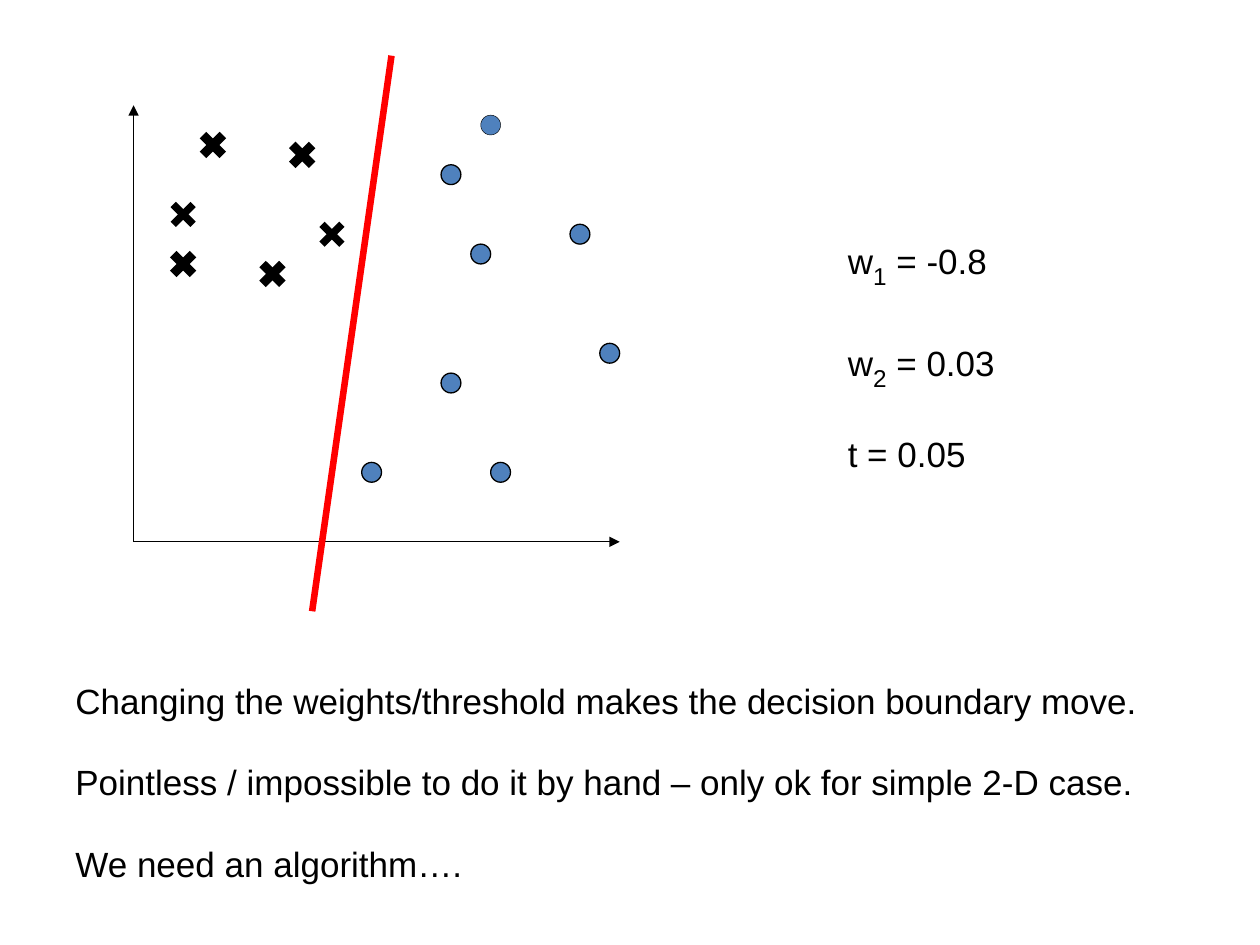
from dataclasses import dataclass
from typing import Any

from lxml import etree
from pptx import Presentation, util as u
from pptx.dml.color import RGBColor
from pptx.enum import shapes, text
from pptx.oxml import ns

COLOURS = {"ink": "000000", "dot": "4F81BD", "boundary": "FF0000"}
CELL = u.Mm(2)
ORIGIN = (u.Inches(1.06), u.Inches(4.3))
DOTS = [(35, 29), (45, 31), (32, 16), (37, 7), (48, 19), (24, 7), (32, 37)]
TOP_DOT = (36, 42)
BOLD_CROSSES = [(8, 40), (17, 39), (5, 28), (14, 27)]
LIGHT_CROSSES = [(5, 33), (20, 31)]


def add_text(paragraph, words, size=20, colour="ink", font="Arial", baseline=None):
    run = paragraph.add_run()
    run.text = words
    run.font.size = u.Pt(size)
    run.font.name = font
    run.font.color.rgb = RGBColor.from_string(COLOURS[colour])
    if baseline is not None:
        run.font._element.set("baseline", str(baseline * 1000))


@dataclass
class Plot:
    """Draw on a slide with a grid whose columns and rows count from the axes' origin."""
    slide: Any

    def point(self, column, row):
        return ORIGIN[0] + column * CELL, ORIGIN[1] - row * CELL

    def line(self, start, end, width=0.75, colour="ink", arrow=False):
        connector = self.slide.shapes.add_connector(
            shapes.MSO_CONNECTOR.STRAIGHT, *self.point(*start), *self.point(*end))
        connector.line.color.rgb = RGBColor.from_string(COLOURS[colour])
        connector.line.width = u.Pt(width)
        if arrow:
            etree.SubElement(connector.line._get_or_add_ln(), ns.qn("a:tailEnd"), type="triangle")
        etree.SubElement(connector._element.spPr, ns.qn("a:effectLst"))

    def cross(self, column, row, width):
        for rise in (1, -1):
            self.line((column + 1, row + rise), (column - 1, row - rise), width)

    def dot(self, column, row, width=0.75):
        left, top = self.point(column - 1, row + 1)
        shape = self.slide.shapes.add_shape(
            shapes.MSO_SHAPE.OVAL, left, top, 2 * CELL, 2 * CELL)
        shape.shadow.inherit = False
        shape.fill.solid()
        shape.fill.fore_color.rgb = RGBColor.from_string(COLOURS["dot"])
        shape.line.color.rgb = RGBColor.from_string(COLOURS["ink"])
        shape.line.width = u.Pt(width)

    def text_box(self, left, top, width, height, paragraphs, wrap=True):
        box = self.slide.shapes.add_textbox(*map(u.Inches, (left, top, width, height)))
        frame = box.text_frame
        frame.word_wrap = wrap
        frame.vertical_anchor = text.MSO_ANCHOR.MIDDLE
        for index, (gap, runs) in enumerate(paragraphs):
            paragraph = frame.add_paragraph() if index else frame.paragraphs[0]
            if index:
                paragraph.space_before = u.Pt(gap)
            for words, style in runs:
                add_text(paragraph, words, **style)


def weight(index, value):
    return [("w", {}), (index, {"size": 24, "baseline": -25}), (f" = {value}", {})]


def main():
    presentation = Presentation()
    presentation.slide_width, presentation.slide_height = u.Inches(10), u.Inches(7.5)
    plot = Plot(presentation.slides.add_slide(presentation.slide_layouts[6]))

    for axis_end in ((0, 44), (49, 0)):
        plot.line((0, 0), axis_end, arrow=True)
    for centre in BOLD_CROSSES:
        plot.cross(*centre, width=5.25)
    for centre in DOTS:
        plot.dot(*centre)
    plot.dot(*TOP_DOT, width=0.25)
    for centre in LIGHT_CROSSES:
        plot.cross(*centre, width=4.25)
    plot.line((18, -7), (26, 49), width=3.75, colour="boundary")

    remarks = ["Changing the weights/threshold makes the decision boundary move.",
               "Pointless / impossible to do it by hand – only ok for simple 2-D case.",
               "We need an algorithm…."]
    plot.text_box(0.5, 5.32, 8.63, 1.77, [(22.4, [(remark, {})]) for remark in remarks], wrap=False)
    plot.text_box(6.63, 1.8, 1.75, 2.01, [
        (0, weight("1", "-0.8")), (25.5, weight("2", "0.03")), (23, [("t = 0.05", {})])])
    presentation.save("out.pptx")


if __name__ == "__main__":
    main()
